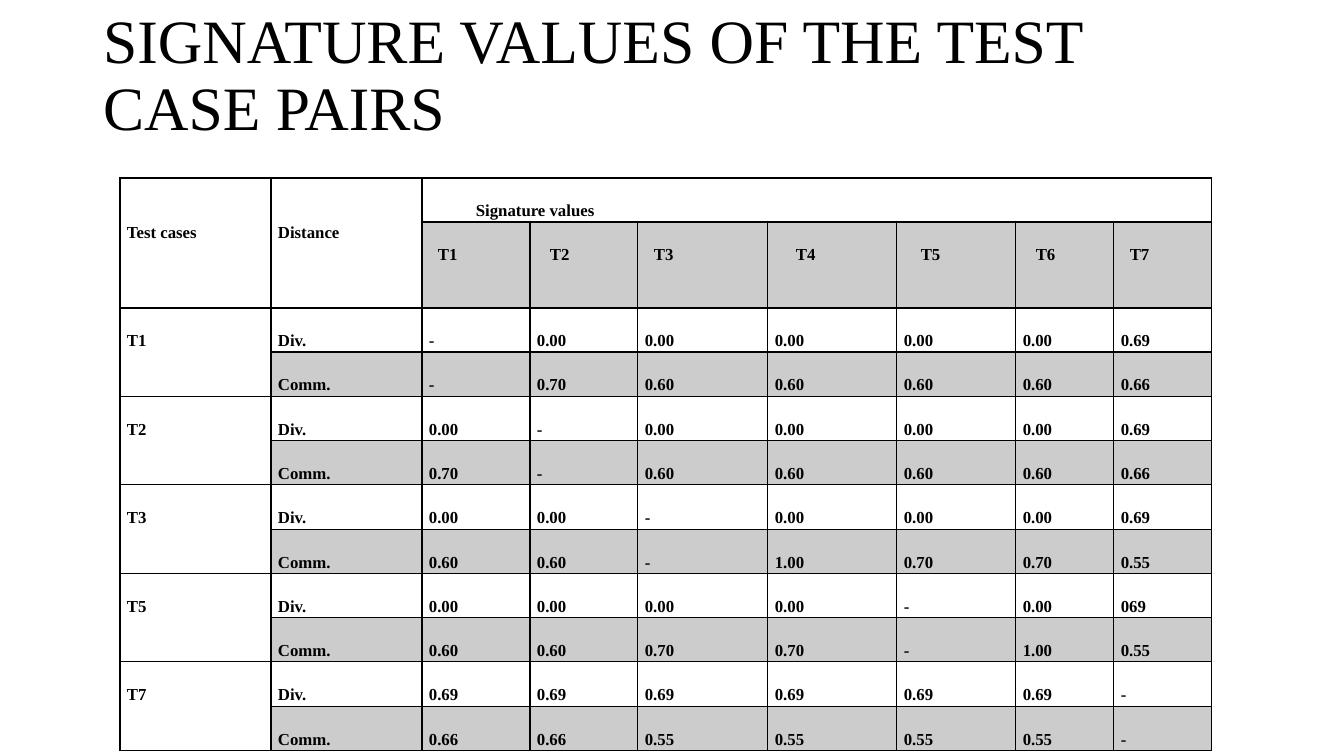
from lxml import etree
from pptx import Presentation
from pptx import util as u
from pptx.dml.color import RGBColor
from pptx.enum import text
from pptx.oxml.ns import qn

PX = 914400 / 100.8
FONT = "Times New Roman"
COLOURS = {"ink": "000000", "line": "000000", "shade": "000000"}
SHADE_ALPHA = 20000
BORDERS = ("lnL", "lnR", "lnT", "lnB")


def px(pixels):
    """Turn pixels into EMU."""
    return u.Emu(round(pixels * PX))


def style_cell(cell, shaded, bottom_width):
    """Draw the borders of a cell and shade it if asked."""
    properties = cell._tc.get_or_add_tcPr()
    for side in BORDERS:
        width = bottom_width if side == "lnB" else 1
        line = etree.SubElement(properties, qn("a:" + side), w=str(u.Pt(width)))
        fill = etree.SubElement(line, qn("a:solidFill"))
        etree.SubElement(fill, qn("a:srgbClr"), val=COLOURS["line"])
    if shaded:
        cell.fill.solid()
        cell.fill.fore_color.rgb = RGBColor.from_string(COLOURS["shade"])
        colour = properties.find(qn("a:solidFill")).find(qn("a:srgbClr"))
        etree.SubElement(colour, qn("a:alpha"), val=str(SHADE_ALPHA))
    else:
        cell.fill.background()


presentation = Presentation()
presentation.slide_width, presentation.slide_height = px(1344), px(756)
slide = presentation.slides.add_slide(presentation.slide_layouts[5])

heading = slide.shapes.title
heading.left, heading.top, heading.width, heading.height = px(93), px(-19), px(1159), px(192)
heading.text_frame.text = "SIGNATURE VALUES OF THE TEST CASE PAIRS"
heading.text_frame.word_wrap = True
heading.text_frame.auto_size = text.MSO_AUTO_SIZE.NONE
heading.text_frame.vertical_anchor = text.MSO_ANCHOR.MIDDLE
heading_line = heading.text_frame.paragraphs[0]
heading_line.alignment = text.PP_ALIGN.LEFT
heading_line.line_spacing = 0.9
heading_line.font.name = FONT
heading_line.font.size = u.Pt(44)
heading_line.font.color.rgb = RGBColor.from_string(COLOURS["ink"])

# Each test case: the diversity row, then the commonality row
distances = {
    "T1": ("- 0.00 0.00 0.00 0.00 0.00 0.69", "- 0.70 0.60 0.60 0.60 0.60 0.66"),
    "T2": ("0.00 - 0.00 0.00 0.00 0.00 0.69", "0.70 - 0.60 0.60 0.60 0.60 0.66"),
    "T3": ("0.00 0.00 - 0.00 0.00 0.00 0.69", "0.60 0.60 - 1.00 0.70 0.70 0.55"),
    "T5": ("0.00 0.00 0.00 0.00 - 0.00 069", "0.60 0.60 0.70 0.70 - 1.00 0.55"),
    "T7": ("0.69 0.69 0.69 0.69 0.69 0.69 -", "0.66 0.66 0.55 0.55 0.55 0.55 -"),
}
rows = [["Test cases", "Distance", "Signature values"] + [""] * 6,
        ["", ""] + [f"T{number}" for number in range(1, 8)]]
for case, (diversity, commonality) in distances.items():
    rows.append([case, "Div."] + diversity.split())
    rows.append(["", "Comm."] + commonality.split())

column_widths = [151, 151, 108, 108, 130, 129, 119, 98, 98]
row_edges = [178, 222] + [308 + round(44.3 * step) for step in range(11)]
header_indents = [7, 7, 16, 20, 16, 28, 24, 20, 16]

signatures = slide.shapes.add_table(
    len(rows), len(column_widths), px(120), px(row_edges[0]),
    px(sum(column_widths)), px(row_edges[-1] - row_edges[0])).table
signatures.first_row = signatures.horz_banding = False
for column, width in zip(signatures.columns, column_widths):
    column.width = px(width)
for row, top, bottom in zip(signatures.rows, row_edges, row_edges[1:]):
    row.height = px(bottom - top)

signatures.cell(0, 2).merge(signatures.cell(0, 8))
signatures.cell(0, 1).merge(signatures.cell(1, 1))
for top_row in range(0, len(rows), 2):
    signatures.cell(top_row, 0).merge(signatures.cell(top_row + 1, 0))

for r, values in enumerate(rows):
    for c, value in enumerate(values):
        cell = signatures.cell(r, c)
        under_header = r == 0 or (r == 1 and c < 2)
        shaded = r % 2 == 1 and c >= (2 if r == 1 else 1)
        style_cell(cell, shaded, 2 if under_header else 1)
        if not value:
            continue
        cell.margin_left = px(header_indents[c] if r == 1 else 54 if (r, c) == (0, 2) else 7)
        cell.margin_right = px(7)
        cell.margin_top = px(46 if r == 0 and c < 2 else 24)
        cell.margin_bottom = 0
        cell.text = value
        label = cell.text_frame.paragraphs[0]
        label.alignment = text.PP_ALIGN.JUSTIFY
        label.font.name = FONT
        label.font.size = u.Pt(12)
        label.font.bold = True
        label.font.color.rgb = RGBColor.from_string(COLOURS["ink"])

presentation.save("out.pptx")
